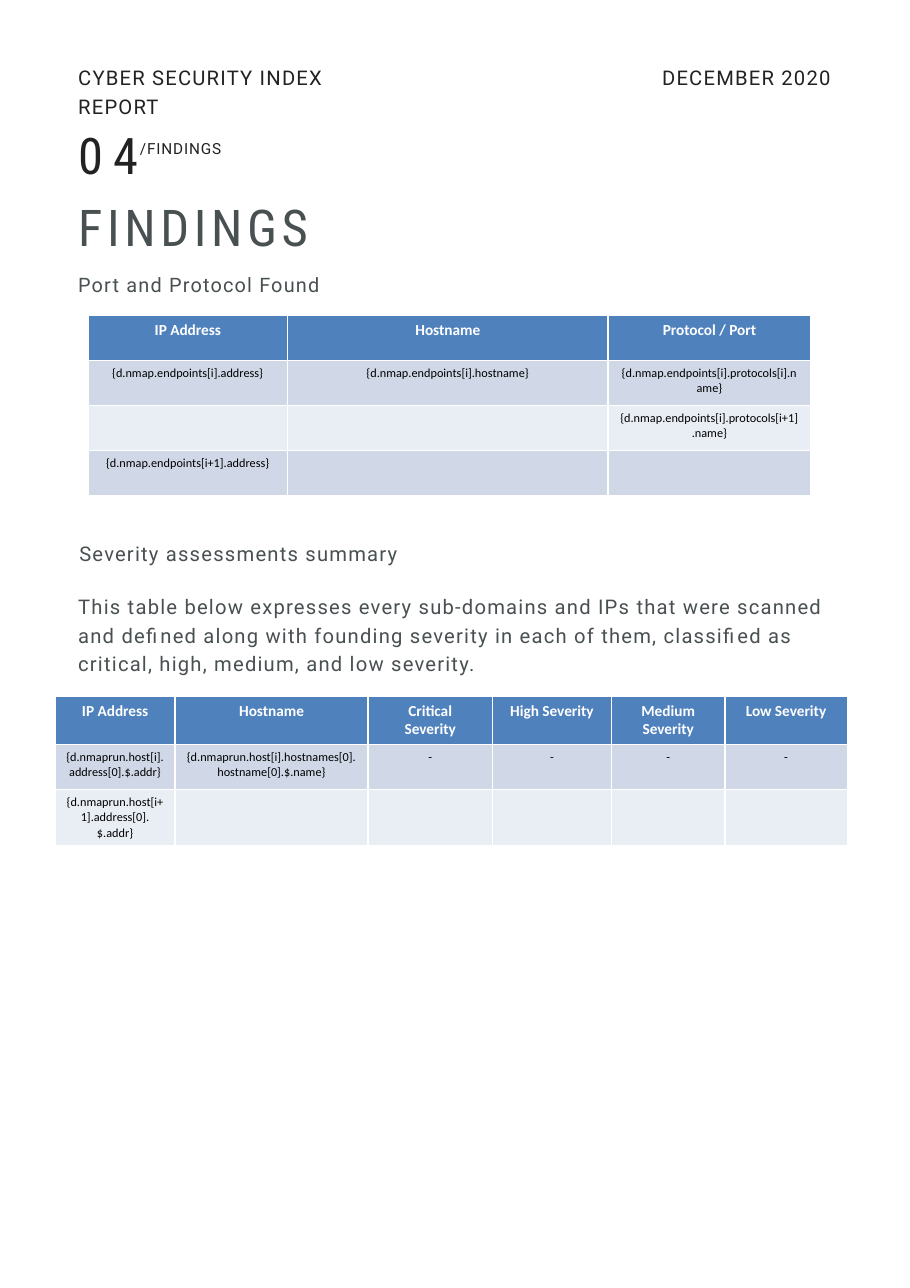
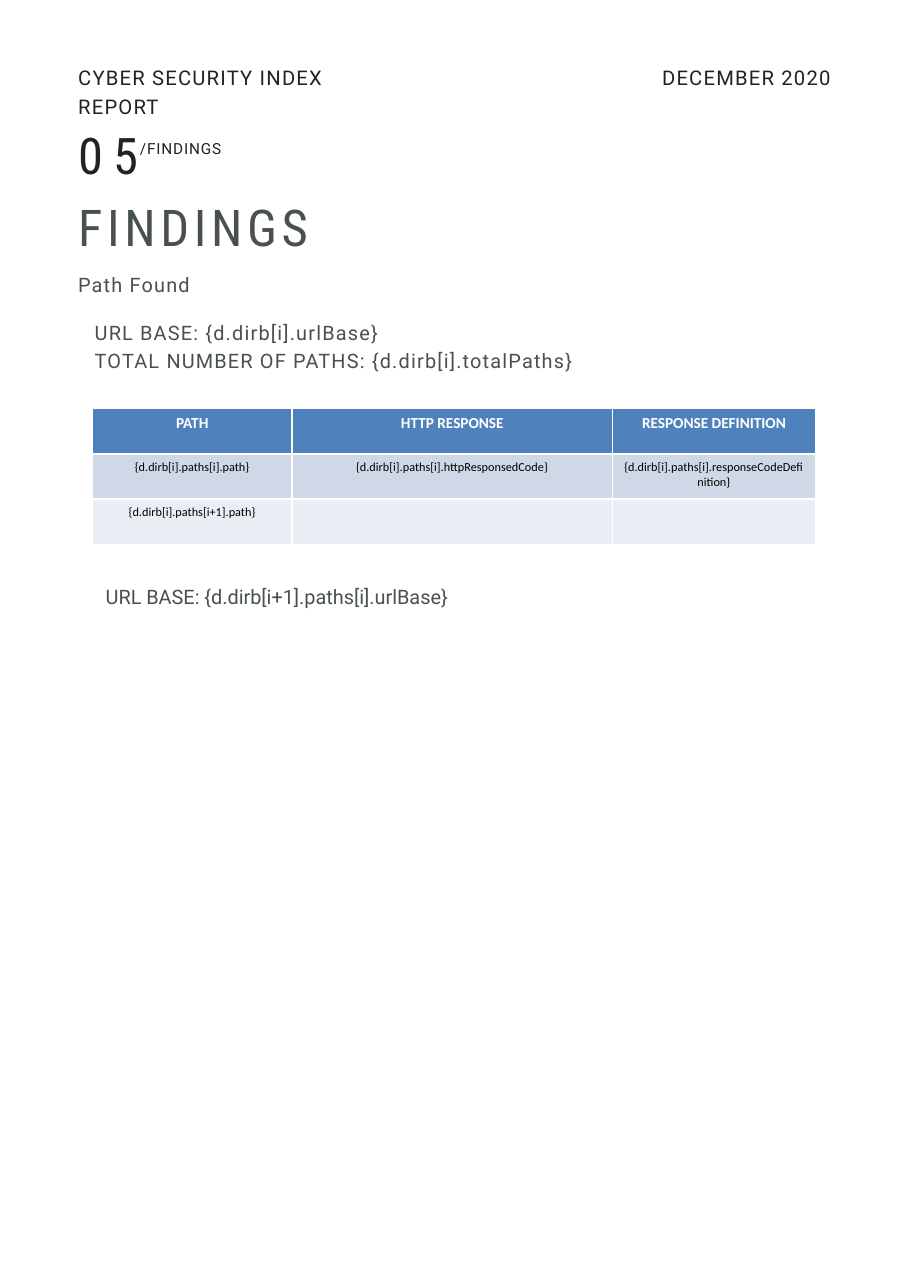
"""Build two findings pages of a cyber security report."""
from dataclasses import dataclass

from lxml import etree
from pptx import Presentation
from pptx import util as u
from pptx.dml.color import RGBColor
from pptx.enum import text
from pptx.oxml import ns

INK = RGBColor(0x22, 0x22, 0x22)
SLATE = RGBColor(0x49, 0x50, 0x52)
WHITE = RGBColor(0xFF, 0xFF, 0xFF)
BLACK = RGBColor(0x00, 0x00, 0x00)
HEADER_FILL = RGBColor(0x4F, 0x81, 0xBD)
BAND_FILLS = (RGBColor(0xD0, 0xD8, 0xE8), RGBColor(0xE9, 0xED, 0xF4))

LEFT, ALIGN_LEFT = 0.71, text.PP_ALIGN.LEFT
ROW_HEIGHT = 0.41
WIDE_COLUMNS = (1.81, 2.91, 1.84)


@dataclass(frozen=True)
class Style:
    """Type settings of a text block, in points."""
    size: float
    color: RGBColor
    font: str = "Roboto"
    tracking: float = 0
    leading: float | None = None
    align: text.PP_ALIGN = ALIGN_LEFT
    bold: bool = False


TITLE = Style(33.1, SLATE, "Roboto Condensed", 3, 38)
RUNNING = Style(13.2, INK, tracking=0.8, leading=18.5)
DATE = Style(13.2, INK, tracking=0.8, leading=18.5, align=text.PP_ALIGN.RIGHT)
NUMBER = Style(33, INK, "Roboto Condensed", 6.6, 46.3)
SECTION = Style(10, INK, tracking=0.6, leading=14)
SUBHEAD = Style(13, SLATE, tracking=0.8, leading=18.5)
PROSE = Style(13.2, SLATE, tracking=0.8, leading=18.5)
PLAIN = Style(13, SLATE)
HEADER_CELL = Style(10, WHITE, "Calibri", align=text.PP_ALIGN.CENTER, bold=True)
BODY_CELL = Style(8, BLACK, "Calibri", align=text.PP_ALIGN.CENTER)


@dataclass(frozen=True)
class Block:
    """Words with their place in inches and their style."""
    words: str
    left: float
    top: float
    width: float
    height: float
    style: Style


@dataclass(frozen=True)
class Grid:
    """A table with its corner and column widths in inches."""
    left: float
    top: float
    columns: tuple[float, ...]
    rows: tuple[tuple[str, ...], ...]


@dataclass(frozen=True)
class Page:
    """The content that differs from page to page."""
    number: str
    body: Block
    blocks: tuple[Block, ...]
    grids: tuple[Grid, ...]


HEADING = Block("FINDINGS", LEFT, 1.8, 4.46, 0.56, TITLE)
RUNNING_HEAD = (
    Block("DECEMBER 2020", 4.91, 0.56, 2.63, 0.24, DATE),
    Block("CYBER SECURITY INDEX REPORT", LEFT, 0.56, 2.98, 0.24, RUNNING),
    Block("/FINDINGS", 1.27, 1.24, 1.25, 0.18, SECTION),
)

PAGES = (
    Page(
        "04",
        Block("This table below expresses every sub-domains and IPs that were scanned "
              "and defined along with founding severity in each of them, classified as "
              "critical, high, medium, and low severity.", LEFT, 5.36, 6.83, 0.78, PROSE),
        (Block("Port and Protocol Found", LEFT, 2.43, 4.46, 0.25, SUBHEAD),
         Block("Severity assessments summary", 0.72, 4.88, 4.46, 0.24, PROSE)),
        (Grid(0.8, 2.86, WIDE_COLUMNS, (
            ("IP Address", "Hostname", "Protocol / Port"),
            ("{d.nmap.endpoints[i].address}", "{d.nmap.endpoints[i].hostname}",
             "{d.nmap.endpoints[i].protocols[i].name}"),
            ("", "", "{d.nmap.endpoints[i].protocols[i+1].name}"),
            ("{d.nmap.endpoints[i+1].address}", "", ""))),
         Grid(0.5, 6.32, (1.09, 1.75, 1.13, 1.08, 1.03, 1.11), (
             ("IP Address", "Hostname", "Critical\nSeverity", "High Severity",
              "Medium Severity", "Low Severity"),
             ("{d.nmaprun.host[i].address[0].$.addr}",
              "{d.nmaprun.host[i].hostnames[0].hostname[0].$.name}", "-", "-", "-", "-"),
             ("{d.nmaprun.host[i+1].address[0].$.addr}", "", "", "", "", "")))),
    ),
    Page(
        "05",
        Block("URL BASE: {d.dirb[i].urlBase}\nTOTAL NUMBER OF PATHS: {d.dirb[i].totalPaths}",
              0.86, 2.87, 6.29, 0.51, SUBHEAD),
        (Block("Path Found", LEFT, 2.43, 4.46, 0.25, SUBHEAD),
         Block("URL BASE: {d.dirb[i+1].paths[i].urlBase}", 0.96, 5.31, 4.6, 0.22, PLAIN)),
        (Grid(0.84, 3.71, WIDE_COLUMNS, (
            ("PATH", "HTTP RESPONSE", "RESPONSE DEFINITION"),
            ("{d.dirb[i].paths[i].path}", "{d.dirb[i].paths[i].httpResponsedCode}",
             "{d.dirb[i].paths[i].responseCodeDefinition}"),
            ("{d.dirb[i].paths[i+1].path}", "", ""))),),
    ),
)


def write(frame, words: str, style: Style, bare: bool = False) -> None:
    """Put words in a text frame; bare removes inherited bullets and indents."""
    frame.text = words
    for para in frame.paragraphs:
        properties = para._p.get_or_add_pPr()
        if bare:
            properties.set("marL", "0")
            properties.set("indent", "0")
            etree.SubElement(properties, ns.qn("a:buNone"))
            para.space_before = u.Pt(0)
        para.alignment = style.align
        if style.leading:
            para.line_spacing = u.Pt(style.leading)
        font = para.font
        font.name, font.size, font.bold = style.font, u.Pt(style.size), style.bold
        font.color.rgb = style.color
        if style.tracking:
            tracking = str(round(style.tracking * 100))
            properties.find(ns.qn("a:defRPr")).set("spc", tracking)


def fill_box(box, block: Block, bare: bool = False) -> None:
    """Place a box and write its block without insets."""
    box.left, box.top = u.Inches(block.left), u.Inches(block.top)
    box.width, box.height = u.Inches(block.width), u.Inches(block.height)
    frame = box.text_frame
    frame.word_wrap = True
    frame.auto_size = text.MSO_AUTO_SIZE.NONE
    frame.vertical_anchor = text.MSO_ANCHOR.TOP
    frame.margin_left = frame.margin_right = u.Inches(0)
    frame.margin_top = frame.margin_bottom = u.Inches(0)
    write(frame, block.words, block.style, bare)


def add_block(slide, block: Block) -> None:
    """Add a text box for a block."""
    fill_box(slide.shapes.add_textbox(0, 0, 0, 0), block)


def add_grid(slide, grid: Grid) -> None:
    """Add a table with a blue header and alternating bands."""
    count = len(grid.rows)
    table = slide.shapes.add_table(
        count, len(grid.columns), u.Inches(grid.left), u.Inches(grid.top),
        u.Inches(sum(grid.columns)), u.Inches(ROW_HEIGHT * count)).table
    for column, width in zip(table.columns, grid.columns):
        column.width = u.Inches(width)
    for index, (row, entries) in enumerate(zip(table.rows, grid.rows)):
        row.height = u.Inches(ROW_HEIGHT)
        for cell, words in zip(row.cells, entries):
            cell.fill.solid()
            cell.fill.fore_color.rgb = BAND_FILLS[(index - 1) % 2] if index else HEADER_FILL
            write(cell.text_frame, words, BODY_CELL if index else HEADER_CELL)


def add_page(deck, page: Page) -> None:
    """Add one findings page."""
    slide = deck.slides.add_slide(deck.slide_layouts[1])
    fill_box(slide.shapes.title, HEADING, bare=True)
    fill_box(slide.placeholders[1], page.body, bare=True)
    number = Block(page.number, LEFT, 1.03, 2.38, 0.56, NUMBER)
    for block in (*RUNNING_HEAD, number, *page.blocks):
        add_block(slide, block)
    for grid in page.grids:
        add_grid(slide, grid)


def main() -> None:
    """Build and save the deck."""
    deck = Presentation()
    deck.slide_width, deck.slide_height = u.Inches(8.26), u.Inches(11.69)
    for page in PAGES:
        add_page(deck, page)
    deck.save("out.pptx")


if __name__ == "__main__":
    main()
